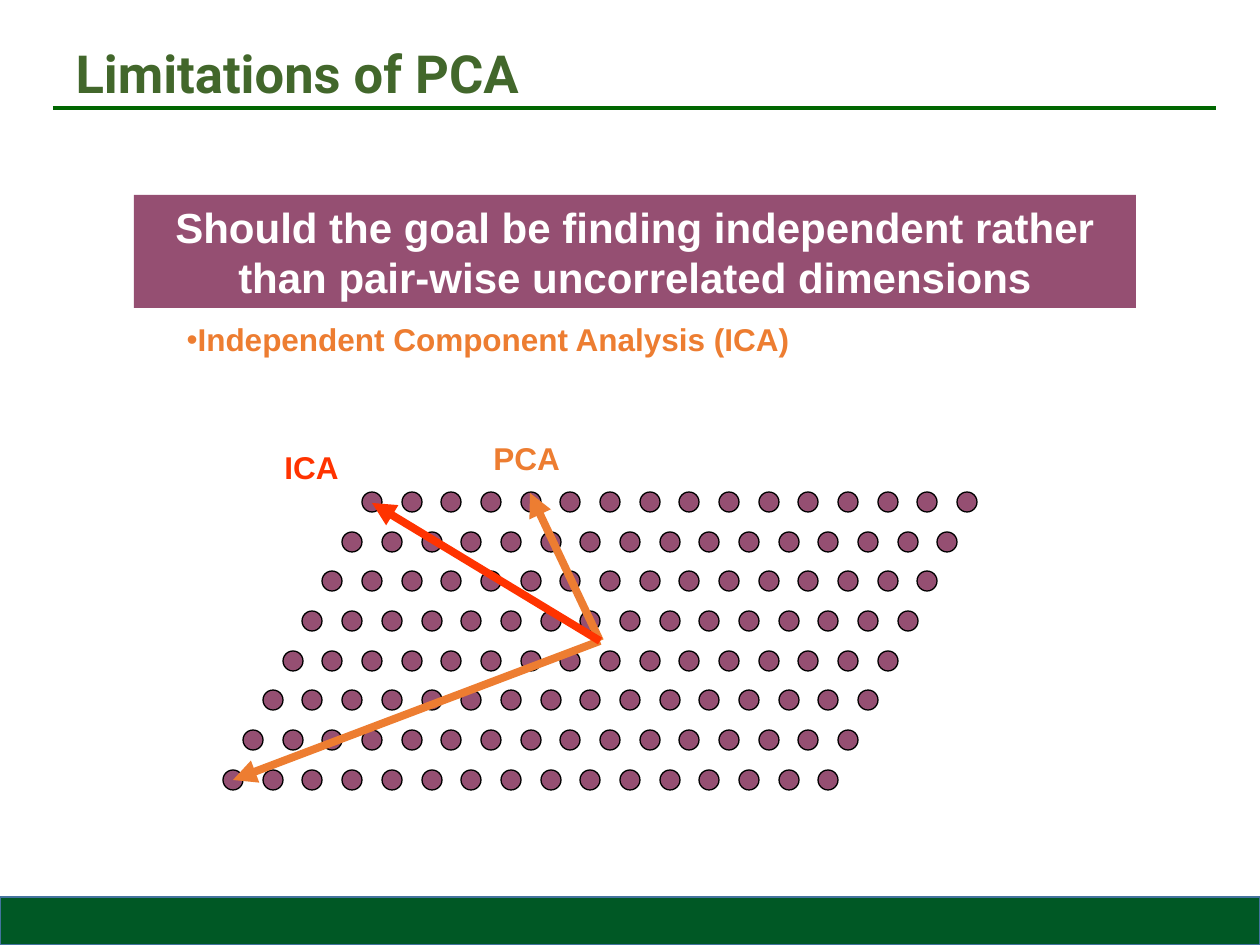
import pptx
import pptx.util
import pptx.dml.color
import pptx.enum.shapes
import pptx.enum.text
import pptx.oxml.ns
from lxml import etree

COLORS = {
    "title": "42672B",
    "rule": "006600",
    "footer": "005825",
    "footer_line": "43739E",
    "plum": "954F72",
    "black": "000000",
    "white": "FFFFFF",
    "pca": "ED7D31",
    "ica": "FF3300",
}
SCALE = 914400 / 126
ALIGN = pptx.enum.text.PP_ALIGN
ANCHOR = pptx.enum.text.MSO_ANCHOR
SHAPE = pptx.enum.shapes.MSO_SHAPE


def px(n):
    return pptx.util.Emu(round(n * SCALE))


def rgb(name):
    return pptx.dml.color.RGBColor.from_string(COLORS[name])


def sub(parent, tag, **attrs):
    return etree.SubElement(parent, pptx.oxml.ns.qn(tag), **attrs)


def write(tf, text, size=18, color="black", font="Arial", align=ALIGN.LEFT,
          anchor=ANCHOR.TOP, spacing=1.0, bullet=None):
    tf.word_wrap = True
    tf.auto_size = pptx.enum.text.MSO_AUTO_SIZE.NONE
    tf.vertical_anchor = anchor
    p = tf.paragraphs[0]
    p.alignment = align
    p.line_spacing = spacing
    p.space_before = pptx.util.Pt(0)
    if bullet:
        pPr = p._p.get_or_add_pPr()
        pPr.set("marL", "0")
        pPr.set("indent", "0")
        sub(pPr, "a:buChar", char=bullet)
    r = p.add_run()
    r.text = text
    r.font.name = font
    r.font.size = pptx.util.Pt(size)
    r.font.bold = True
    r.font.color.rgb = rgb(color)


class Deck:
    def __init__(self, width, height):
        self.prs = pptx.Presentation()
        self.prs.slide_width = px(width)
        self.prs.slide_height = px(height)
        self.s = self.prs.slides.add_slide(self.prs.slide_layouts[1])

    def placeholder(self, idx, x, y, w, h, text, **fmt):
        sp = self.s.placeholders[idx]
        sp.left, sp.top, sp.width, sp.height = map(px, (x, y, w, h))
        write(sp.text_frame, text, **fmt)

    def label(self, x, y, w, h, text, **fmt):
        sp = self.s.shapes.add_textbox(*map(px, (x, y, w, h)))
        write(sp.text_frame, text, **fmt)

    def shape(self, kind, x, y, w, h, fill, line=None, weight=0.75):
        sp = self.s.shapes.add_shape(kind, *map(px, (x, y, w, h)))
        sp.shadow.inherit = False
        sp.fill.solid()
        sp.fill.fore_color.rgb = rgb(fill)
        if line:
            sp.line.color.rgb = rgb(line)
            sp.line.width = pptx.util.Pt(weight)
        else:
            sp.line.fill.background()
        return sp

    def line(self, start, end, color, weight, arrow=False):
        c = self.s.shapes.add_connector(
            pptx.enum.shapes.MSO_CONNECTOR.STRAIGHT, *map(px, start + end))
        c.line.color.rgb = rgb(color)
        c.line.width = pptx.util.Pt(weight)
        if arrow:
            sub(c.line._get_or_add_ln(), "a:tailEnd", type="triangle")
        sub(c._element.spPr, "a:effectLst")

    def dots(self, x, y, rows, cols, step, size):
        for row in range(rows):
            for col in range(cols):
                self.shape(SHAPE.OVAL, round(x + (col - row / 2) * step),
                           round(y + row * step), size, size, "plum", "black")


def main():
    deck = Deck(1260, 945)
    deck.shape(SHAPE.RECTANGLE, 0, 897, 1260, 48, "footer", "footer_line", 1)
    deck.line((53, 108), (1216, 108), "rule", 2)
    deck.placeholder(0, 63, 16, 1134, 120, "Limitations of PCA", size=30,
                     color="title", font="Roboto", anchor=ANCHOR.MIDDLE, spacing=0.9)
    banner = deck.shape(SHAPE.RECTANGLE, 134, 195, 1002, 113, "plum")
    write(banner.text_frame,
          "Should the goal be finding independent rather than pair-wise uncorrelated dimensions",
          size=24, color="white", align=ALIGN.CENTER)
    deck.placeholder(1, 174, 314, 912, 63, "Independent Component Analysis (ICA)",
                     color="pca", bullet="•")

    deck.dots(362, 492, rows=8, cols=16, step=39.67, size=20)
    origin = (600, 641)
    for tip, color in (((233, 780), "pca"), ((530, 493), "pca"), ((372, 503), "ica")):
        deck.line(origin, tip, color, 4.5, arrow=True)
    deck.label(272, 442, 110, 63, "ICA", color="ica")
    deck.label(481, 433, 129, 63, "PCA", color="pca")
    deck.prs.save("out.pptx")


if __name__ == "__main__":
    main()
